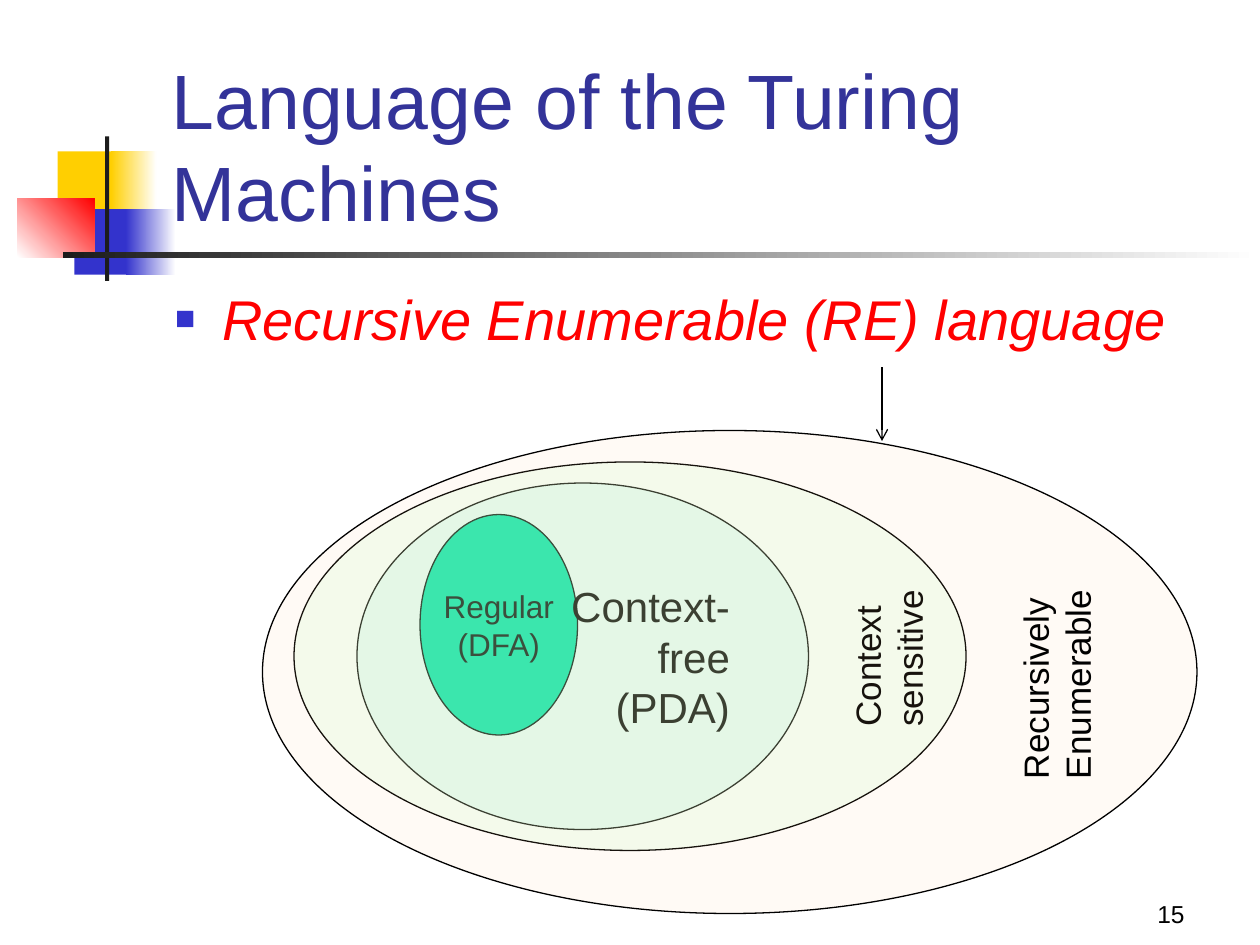
from lxml import etree
from pptx import Presentation
from pptx.dml.color import RGBColor
from pptx.enum.shapes import MSO_CONNECTOR, MSO_SHAPE
from pptx.enum.text import MSO_ANCHOR, MSO_AUTO_SIZE, PP_ALIGN
from pptx.oxml.ns import qn
from pptx.util import Pt

COLORS = {
    "yellow": "FFCF01", "blue": "3333CC", "red": "FF0000", "white": "FFFFFF",
    "charcoal": "1C1C1C", "black": "000000", "title": "333399",
    "green": "00E4A8", "mint": "CCFFCC", "peach": "FFCC99",
}


def add_filled(preset, box, colors, angle=0):
    """Add a shape with a solid fill (one color) or a linear gradient (two)."""
    shape = slide.shapes.add_shape(preset, *[Pt(v) for v in box])
    shape.shadow.inherit = False
    shape.line.fill.background()
    if len(colors) == 1:
        shape.fill.solid()
        shape.fill.fore_color.rgb = RGBColor.from_string(COLORS[colors[0]])
    else:
        shape.fill.gradient()
        shape.fill.gradient_angle = angle
        for stop, color, position in zip(shape.fill.gradient_stops, colors, (0, 1)):
            stop.color.rgb = RGBColor.from_string(COLORS[color])
            stop.position = position
    return shape


def write(shape, text, size, color="black", align=PP_ALIGN.LEFT,
          anchor=MSO_ANCHOR.TOP, wrap=True):
    frame = shape.text_frame
    frame.text = text
    frame.word_wrap = wrap
    frame.vertical_anchor = anchor
    for paragraph in frame.paragraphs:
        paragraph.alignment = align
        for run in paragraph.runs:
            run.font.name = "Arial"
            run.font.size = Pt(size)
            run.font.color.rgb = RGBColor.from_string(COLORS[color])
    return frame


prs = Presentation()
prs.slide_width, prs.slide_height = Pt(720), Pt(540)
slide = prs.slides.add_slide(prs.slide_layouts[6])

# Corner ornament and the rule under the title
ornament = [
    ((33, 86.5, 34.5, 37.5), ["yellow"], 0),
    ((63.5, 86.5, 26, 37.5), ["yellow", "white"], 0),
    ((42.5, 119.5, 33, 37.5), ["blue"], 0),
    ((72, 119.5, 28.5, 37.5), ["blue", "white"], 0),
    ((10, 113.5, 44, 33.5), ["white", "red"], 45),
    ((60, 78, 2.4, 82.5), ["charcoal"], 0),
    ((36, 144, 684, 3.5), ["charcoal", "white"], 0),
]
for box, colors, angle in ornament:
    add_filled(MSO_SHAPE.RECTANGLE, box, colors, angle)

# Slide number, title and bullet
page_number = slide.shapes.add_textbox(Pt(534), Pt(498), Pt(150), Pt(36))
write(page_number, "15", 14, align=PP_ALIGN.RIGHT, anchor=MSO_ANCHOR.BOTTOM)

title = slide.shapes.add_textbox(Pt(91), Pt(49), Pt(613), Pt(90))
write(title, "Language of the Turing Machines", 44, "title", anchor=MSO_ANCHOR.BOTTOM)

body = slide.shapes.add_textbox(Pt(93), Pt(159), Pt(612), Pt(324))
bullet = write(body, "Recursive Enumerable (RE) language", 32, "red").paragraphs[0]
bullet.runs[0].font.italic = True
bullet.space_before = Pt(6.4)
bullet_props = bullet._p.get_or_add_pPr()
bullet_props.set("marL", str(Pt(27)))
bullet_props.set("indent", str(-Pt(27)))
bullet_color = etree.SubElement(bullet_props, qn("a:buClr"))
etree.SubElement(bullet_color, qn("a:srgbClr"), val=COLORS["blue"])
etree.SubElement(bullet_props, qn("a:buSzPct"), val="60000")
etree.SubElement(bullet_props, qn("a:buFont"), typeface="Arial")
etree.SubElement(bullet_props, qn("a:buChar"), char="■")

# Nested language classes, innermost first: the outer ones are see-through.
# Each has a box, color, opacity in %, and a label inside or a rotated label box.
center, right, left = PP_ALIGN.CENTER, PP_ALIGN.RIGHT, PP_ALIGN.LEFT
classes = [
    ((240, 294, 90, 126), "green", 100, "Regular\n(DFA)", 18, center, None),
    ((204, 276, 258, 198), "green", 9, "Context-\vfree\n(PDA)", 24, right, None),
    ((168, 264, 384, 222), "mint", 20, "Context\nsensitive", 20, left,
     (459.5, 346.5, 96, 55.5)),
    ((150, 246, 534, 276), "peach", 9, "Recursively\vEnumerable", 20, left,
     (540.5, 361.5, 126, 55.5)),
]
for box, color, opacity, label, size, align, label_box in classes:
    ellipse = add_filled(MSO_SHAPE.OVAL, box, [color])
    ellipse.line.color.rgb = RGBColor.from_string(COLORS["black"])
    ellipse.line.width = Pt(0.75)
    if opacity < 100:
        fill_color = ellipse._element.spPr.find(qn("a:solidFill"))[0]
        etree.SubElement(fill_color, qn("a:alpha"), val=str(opacity * 1000))
    if label_box:
        side_label = slide.shapes.add_textbox(*[Pt(v) for v in label_box])
        side_label.rotation = 270
        frame = write(side_label, label, size, align=align, wrap=False)
        frame.auto_size = MSO_AUTO_SIZE.SHAPE_TO_FIT_TEXT
    else:
        write(ellipse, label, size, align=align, anchor=MSO_ANCHOR.MIDDLE, wrap=False)

# Arrow from the bullet to the outermost class
arrow = slide.shapes.add_connector(MSO_CONNECTOR.STRAIGHT, Pt(504), Pt(210), Pt(504), Pt(252))
arrow.line.color.rgb = RGBColor.from_string(COLORS["black"])
arrow.line.width = Pt(0.75)
etree.SubElement(arrow.line._get_or_add_ln(), qn("a:tailEnd"), type="arrow")
etree.SubElement(arrow._element.spPr, qn("a:effectLst"))

prs.save("out.pptx")
